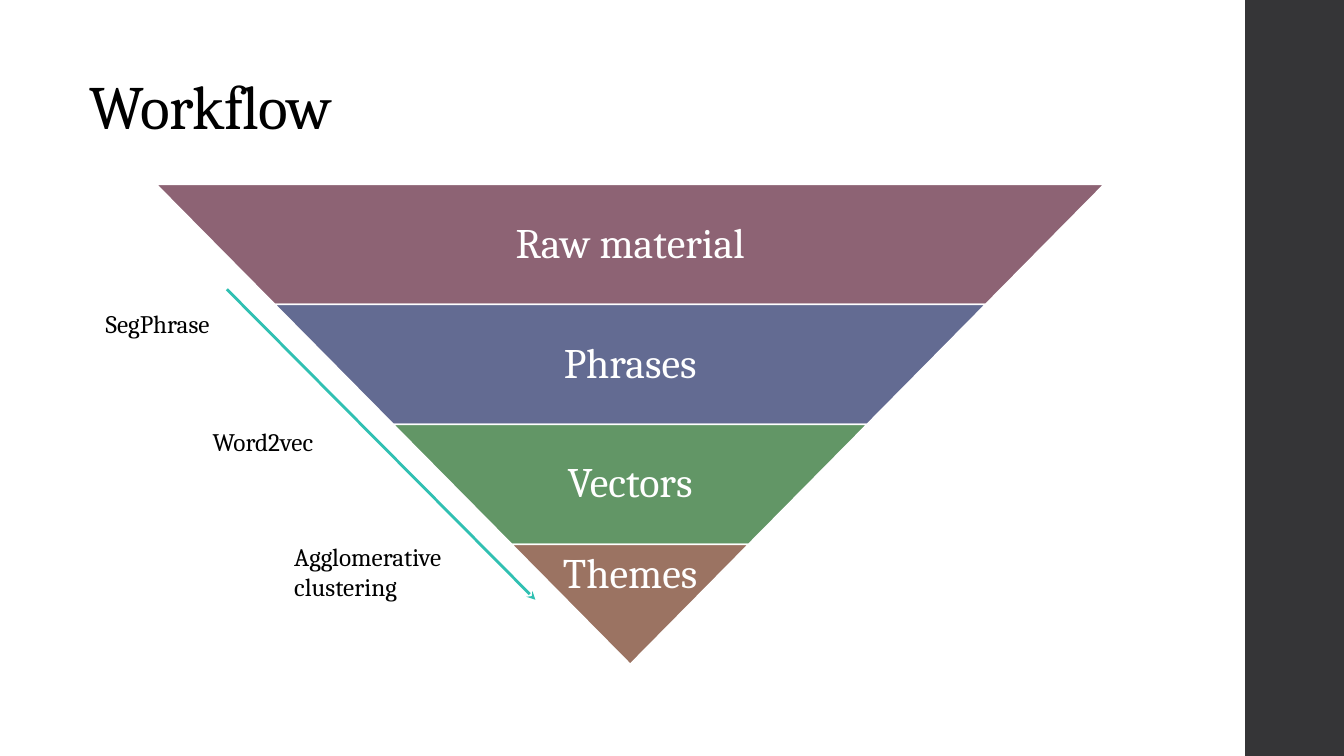
from lxml.etree import SubElement
from pptx import Presentation
from pptx.dml.color import RGBColor
from pptx.enum.shapes import MSO_CONNECTOR, MSO_SHAPE
from pptx.enum.text import MSO_ANCHOR, MSO_AUTO_SIZE, PP_ALIGN
from pptx.oxml.ns import qn
from pptx.util import Inches, Pt

FONT = "Cambria"
BLACK = RGBColor(0x00, 0x00, 0x00)
WHITE = RGBColor(0xFF, 0xFF, 0xFF)
CHARCOAL = RGBColor(0x35, 0x35, 0x37)
MAUVE = RGBColor(0x8D, 0x63, 0x74)
SLATE = RGBColor(0x63, 0x6B, 0x92)
GREEN = RGBColor(0x62, 0x96, 0x66)
BROWN = RGBColor(0x9B, 0x73, 0x62)
TEAL = RGBColor(0x30, 0xC0, 0xB2)

TIERS = [("Raw material", MAUVE), ("Phrases", SLATE), ("Vectors", GREEN), ("Themes", BROWN)]
METHODS = [
    ("SegPhrase", 0.95, 3.01, 1.61, 0.4),
    ("Word2vec", 2.01, 4.18, 1.61, 0.4),
    ("Agglomerative clustering", 2.82, 5.32, 2.17, 0.71),
]


def write_text(shape, text, size, color=BLACK, align=PP_ALIGN.LEFT, anchor=MSO_ANCHOR.TOP,
               line_spacing=1.0, tracking=None):
    frame = shape.text_frame
    frame.word_wrap = True
    frame.auto_size = MSO_AUTO_SIZE.NONE
    frame.vertical_anchor = anchor
    paragraph = frame.paragraphs[0]
    paragraph.alignment = align
    paragraph.line_spacing = line_spacing
    run = paragraph.add_run()
    run.text = text
    run.font.name = FONT
    run.font.size = Pt(size)
    run.font.color.rgb = color
    if tracking is not None:
        run.font._element.set("spc", str(round(tracking * 100)))


def add_side_bar(slide, left, top, width, height):
    bar = slide.shapes.add_shape(MSO_SHAPE.RECTANGLE, Inches(left), Inches(top),
                                 Inches(width), Inches(height))
    bar.shadow.inherit = False
    bar.fill.solid()
    bar.fill.fore_color.rgb = CHARCOAL
    bar.line.fill.background()


def place_title(slide, text, left, top, width, height):
    title = slide.shapes.title
    title.left, title.top = Inches(left), Inches(top)
    title.width, title.height = Inches(width), Inches(height)
    write_text(title, text, 44, anchor=MSO_ANCHOR.BOTTOM, line_spacing=0.9, tracking=-0.5)


def add_tier(shapes, text, color, left, top, width, height, is_tip):
    tier = shapes.add_shape(MSO_SHAPE.TRAPEZOID, Inches(left), Inches(top),
                            Inches(width), Inches(height))
    tier.rotation = 180
    tier.adjustments[0] = 0.988
    tier.shadow.inherit = False
    tier.fill.solid()
    tier.fill.fore_color.rgb = color
    tier.line.color.rgb = WHITE
    tier.line.width = Pt(1.1)

    label_width = width if is_tip else width * 0.65
    label = shapes.add_textbox(Inches(left + (width - label_width) / 2), Inches(top),
                               Inches(label_width), Inches(height))
    frame = label.text_frame
    frame.margin_left = frame.margin_right = frame.margin_top = Inches(0.04)
    # The tip narrows downwards, so its label sits in the upper half.
    frame.margin_bottom = Inches(0.63 if is_tip else 0.04)
    write_text(label, text, 30, WHITE, PP_ALIGN.CENTER, MSO_ANCHOR.MIDDLE, 0.9)


def add_inverted_pyramid(slide, tiers, left, top, width, height):
    group = slide.shapes.add_group_shape()
    count = len(tiers)
    inset = width / count / 2
    tier_height = height / count
    for index, (text, color) in enumerate(tiers):
        add_tier(group.shapes, text, color, left + index * inset, top + index * tier_height,
                 width - 2 * index * inset, tier_height, index == count - 1)


def add_method_label(slide, text, left, top, width, height):
    label = slide.shapes.add_textbox(Inches(left), Inches(top), Inches(width), Inches(height))
    write_text(label, text, 18)


def add_flow_arrow(slide, left, top, width, height):
    arrow = slide.shapes.add_connector(MSO_CONNECTOR.STRAIGHT, Inches(left), Inches(top),
                                       Inches(left + width), Inches(top + height))
    arrow.line.color.rgb = TEAL
    arrow.line.width = Pt(2)
    SubElement(arrow.line._get_or_add_ln(), qn("a:tailEnd"), type="stealth")
    SubElement(arrow._element.spPr, qn("a:effectLst"))


def build_workflow_slide(presentation):
    slide = presentation.slides.add_slide(presentation.slide_layouts[5])
    add_side_bar(slide, 12.35, 0, 0.98, 7.5)
    place_title(slide, "Workflow", 0.79, 0.64, 10.6, 0.83)
    add_inverted_pyramid(slide, TIERS, 1.55, 1.83, 9.4, 4.76)
    for method in METHODS:
        add_method_label(slide, *method)
    add_flow_arrow(slide, 2.25, 2.87, 3.06, 3.08)


def main():
    presentation = Presentation()
    presentation.slide_width = Inches(13.33)
    presentation.slide_height = Inches(7.5)
    build_workflow_slide(presentation)
    presentation.save("out.pptx")


if __name__ == "__main__":
    main()
